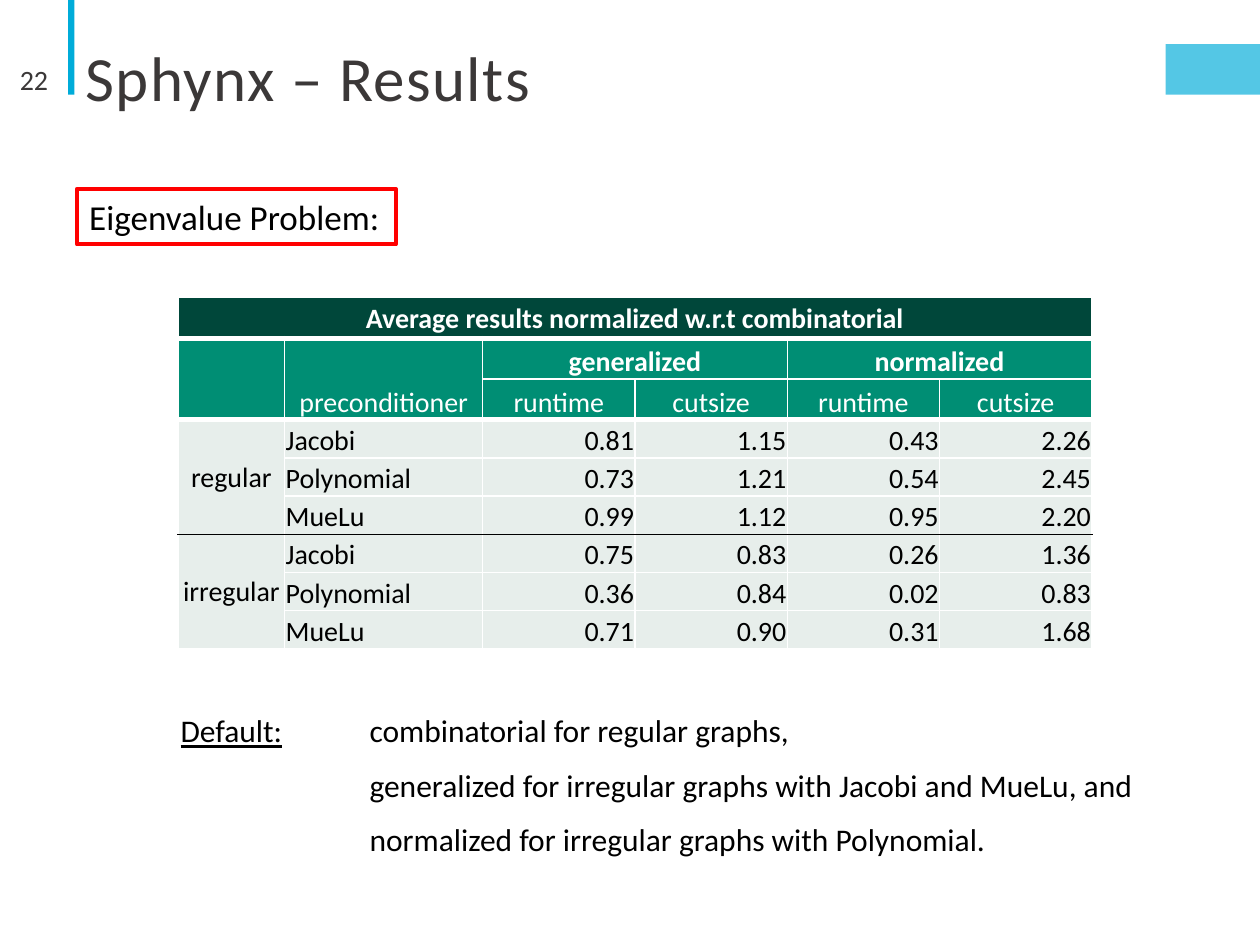
from dataclasses import dataclass

from lxml.etree import SubElement
from pptx import Presentation
from pptx.dml.color import RGBColor
from pptx.enum.shapes import MSO_SHAPE
from pptx.enum.text import MSO_ANCHOR, MSO_AUTO_SIZE, PP_ALIGN
from pptx.oxml.ns import qn
from pptx.util import Cm, Pt


@dataclass(frozen=True)
class Theme:
    font: str = "Calibri"
    accent: str = "00ACD9"
    heading: str = "3B3838"
    text: str = "000000"
    light: str = "FFFFFF"
    alert: str = "FF0000"
    banner: str = "00473A"
    header: str = "008E74"
    body: str = "E7EEEB"
    title_size: int = 36
    label_size: int = 20
    list_size: int = 18
    small_size: int = 16


def apply(target, values):
    for name, value in values.items():
        setattr(target, name, value)


def rgb(color):
    return RGBColor.from_string(color)


class SlideBuilder:
    def __init__(self, prs, theme):
        self.theme = theme
        self.s = prs.slides.add_slide(prs.slide_layouts[1])

    def run(self, p, text, size, color, **extra):
        r = p.add_run()
        r.text = text
        apply(r.font, {"name": self.theme.font, "size": Pt(size), **extra})
        r.font.color.rgb = rgb(color)
        return r

    def place(self, sp, box):
        apply(sp, dict(zip(("left", "top", "width", "height"), map(Cm, box))))

    def bar(self, box, rotation=0, opacity=100):
        sp = self.s.shapes.add_shape(MSO_SHAPE.RECTANGLE, *map(Cm, box))
        sp.shadow.inherit = False
        sp.rotation = rotation
        sp.fill.solid()
        sp.fill.fore_color.rgb = rgb(self.theme.accent)
        sp.line.fill.background()
        if opacity < 100:
            color = sp.fill._xPr.find(f".//{qn('a:srgbClr')}")
            SubElement(color, qn("a:alpha"), val=str(opacity * 1000))

    def title(self, text, box):
        sp = self.s.shapes.title
        self.place(sp, box)
        tf = sp.text_frame
        apply(tf, {"vertical_anchor": MSO_ANCHOR.MIDDLE, "auto_size": MSO_AUTO_SIZE.NONE})
        p = tf.paragraphs[0]
        apply(p, {"alignment": PP_ALIGN.LEFT, "line_spacing": 0.85})
        r = self.run(p, text, self.theme.title_size, self.theme.heading)
        r.font._element.set("spc", "80")

    def page_number(self, text, box):
        sp = self.s.shapes.add_textbox(*map(Cm, box))
        tf = sp.text_frame
        apply(tf, {"word_wrap": True, "vertical_anchor": MSO_ANCHOR.MIDDLE})
        p = tf.paragraphs[0]
        p.alignment = PP_ALIGN.RIGHT
        self.run(p, text, self.theme.small_size, self.theme.heading)

    def framed_label(self, text, box):
        sp = self.s.shapes.add_shape(MSO_SHAPE.RECTANGLE, *map(Cm, box))
        sp.shadow.inherit = False
        sp.fill.background()
        sp.line.color.rgb = rgb(self.theme.alert)
        sp.line.width = Pt(2.25)
        tf = sp.text_frame
        apply(tf, {"word_wrap": False, "auto_size": MSO_AUTO_SIZE.SHAPE_TO_FIT_TEXT,
                   "vertical_anchor": MSO_ANCHOR.TOP})
        p = tf.paragraphs[0]
        p.alignment = PP_ALIGN.LEFT
        self.run(p, text, self.theme.label_size, self.theme.text)

    def definition(self, term, lines, box, indent, hang):
        sp = self.s.placeholders[1]
        self.place(sp, box)
        tf = sp.text_frame
        apply(tf, {"margin_left": 0, "margin_right": 0, "word_wrap": True,
                   "auto_size": MSO_AUTO_SIZE.NONE, "vertical_anchor": MSO_ANCHOR.TOP})
        style = self.theme.list_size, self.theme.text
        for i, line in enumerate(lines):
            p = tf.paragraphs[0] if i == 0 else tf.add_paragraph()
            pPr = p._p.get_or_add_pPr()
            pPr.set("marL", str(Cm(indent + hang)))
            pPr.set("indent", str(-Cm(hang) if i == 0 else 0))
            SubElement(pPr, qn("a:buNone"))
            apply(p, {"line_spacing": 0.9, "space_after": Pt(10),
                      "space_before": Pt(1.5 if i else 0)})
            if i == 0:
                self.run(p, term, *style, underline=True)
                line = "\t" + line
            self.run(p, line, *style)

    def cell(self, cell, text, fill, color, align, anchor, bold, edges):
        apply(cell, {"margin_left": Cm(0.02), "margin_right": Cm(0.02),
                     "margin_top": Cm(0.02), "margin_bottom": 0,
                     "vertical_anchor": anchor})
        tcPr = cell._tc.get_or_add_tcPr()
        for side in "LRTB":
            line_color, width = edges.get(side, (self.theme.light, 1))
            ln = SubElement(tcPr, qn(f"a:ln{side}"), w=str(Pt(width)))
            SubElement(SubElement(ln, qn("a:solidFill")), qn("a:srgbClr"), val=line_color)
        cell.fill.solid()
        cell.fill.fore_color.rgb = rgb(fill)
        p = cell.text_frame.paragraphs[0]
        p.alignment = align
        if text:
            self.run(p, text, self.theme.small_size, color, bold=bold)

    def results_table(self, rows, spans, left, top, col_widths, row_heights):
        t = self.theme
        frame = self.s.shapes.add_table(
            len(rows), len(col_widths), Cm(left), Cm(top),
            Cm(sum(col_widths)), Cm(sum(row_heights)))
        table = frame.table
        for column, width in zip(table.columns, col_widths):
            column.width = Cm(width)
        for row, height in zip(table.rows, row_heights):
            row.height = Cm(height)

        # Heavy rules around the headings, a dark one between graph types
        rules = {0: (t.light, 3), 2: (t.light, 3), 5: (t.text, 1)}
        for i, row in enumerate(rows):
            heading = i < 3
            fill = t.banner if i == 0 else t.header if heading else t.body
            for j, text in enumerate(row):
                centred = heading or j == 0
                align = (PP_ALIGN.CENTER if centred else
                         PP_ALIGN.LEFT if j == 1 else PP_ALIGN.RIGHT)
                middle = i == 0 or (j == 0 and not heading)
                edges = {side: rules[k] for side, k in (("T", i - 1), ("B", i)) if k in rules}
                self.cell(table.cell(i, j), text, fill, t.light if heading else t.text,
                          align, MSO_ANCHOR.MIDDLE if middle else MSO_ANCHOR.BOTTOM,
                          i == 0 or (i == 1 and j > 1), edges)
        for (i, j), (height, width) in spans.items():
            table.cell(i, j).merge(table.cell(i + height - 1, j + width - 1))


def main():
    prs = Presentation()
    apply(prs, {"slide_width": Cm(25.4), "slide_height": Cm(19.05)})
    slide = SlideBuilder(prs, Theme())

    # Header
    slide.bar((0.48, 0.89, 1.91, 0.13), rotation=90)
    slide.bar((23.5, 0.89, 1.9, 1.02), opacity=67)
    slide.page_number("22", (0, 1.09, 1.22, 1.02))
    slide.title("Sphynx – Results", (1.47, 0.81, 21.39, 1.68))

    # Results table
    rows = [
        ["Average results normalized w.r.t combinatorial"] + [""] * 5,
        ["", "preconditioner", "generalized", "", "normalized", ""],
        ["", ""] + ["runtime", "cutsize"] * 2,
        ["regular", "Jacobi", "0.81", "1.15", "0.43", "2.26"],
        ["", "Polynomial", "0.73", "1.21", "0.54", "2.45"],
        ["", "MueLu", "0.99", "1.12", "0.95", "2.20"],
        ["irregular", "Jacobi", "0.75", "0.83", "0.26", "1.36"],
        ["", "Polynomial", "0.36", "0.84", "0.02", "0.83"],
        ["", "MueLu", "0.71", "0.90", "0.31", "1.68"],
    ]
    spans = {(0, 0): (1, 6), (1, 0): (2, 1), (1, 1): (2, 1), (1, 2): (1, 2),
             (1, 4): (1, 2), (3, 0): (3, 1), (6, 0): (3, 1)}
    slide.results_table(rows, spans, 3.59, 6, [2.15, 3.99] + [3.07] * 4,
                        [0.82] * 3 + [0.77] * 6)

    # Problem label
    slide.framed_label("Eigenvalue Problem:", (1.55, 3.81, 6.43, 1.12))

    # Default choices
    slide.definition("Default:", [
        "combinatorial for regular graphs,",
        "generalized for irregular graphs with Jacobi and MueLu, and",
        "normalized for irregular graphs with Polynomial.",
    ], (3, 14.3, 19.86, 4.09), indent=0.64, hang=3.81)

    prs.save("out.pptx")


if __name__ == "__main__":
    main()
